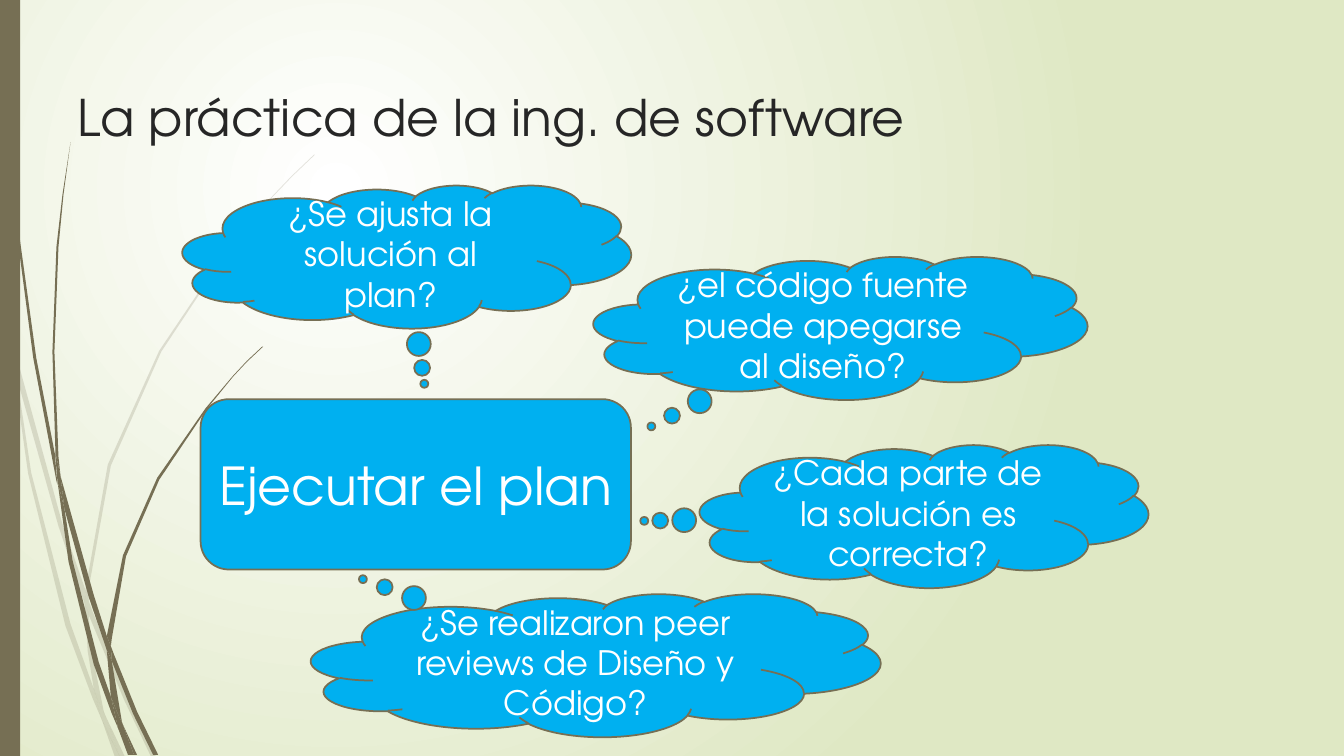
import lxml.etree
import pptx
import pptx.dml.color
import pptx.enum.shapes
import pptx.enum.text
import pptx.oxml.ns
import pptx.util

Pt = pptx.util.Pt
MSO_SHAPE = pptx.enum.shapes.MSO_SHAPE
ANCHOR = pptx.enum.text.MSO_ANCHOR
ALIGN = pptx.enum.text.PP_ALIGN
qn = pptx.oxml.ns.qn

FONT = "TeX Gyre Adventor"
BROWN, BLUE, WHITE, DARK, GREEN = "766F54", "00B0F0", "FFFFFF", "262626", "DFE8C4"

# Corners of the grass pieces, on a grid of 0.72 points
GRID = Pt(0.72)
PALE_GRASS = [
    [(11, 350), (9, 322), (0, 282), (0, 299), (10, 344)],
    [(58, 522), (84, 599), (85, 586), (62, 520), (14, 345), (17, 376)],
    [(92, 607), (88, 596), (88, 610), (123, 694), (150, 751), (155, 751), (127, 692)],
    [(119, 751), (124, 751), (105, 711)],
    [(93, 683), (70, 619), (31, 469), (17, 376), (11, 350), (28, 470), (65, 621),
     (92, 693), (101, 714), (99, 707)],
    [(84, 599), (87, 646), (93, 683), (96, 692), (105, 711), (103, 706), (91, 646),
     (88, 610), (88, 608)],
    [(88, 584), (110, 462), (160, 349), (229, 245), (268, 198), (290, 175), (312, 154),
     (312, 153), (289, 175), (268, 197), (228, 244), (158, 348), (107, 461), (85, 584),
     (85, 586), (88, 596)],
    [(101, 714), (114, 751), (119, 751)],
    [(88, 608), (88, 610), (88, 596), (85, 586), (84, 599)],
    [(96, 692), (93, 683), (99, 707), (101, 714), (119, 751), (105, 711)],
]
SOLID_GRASS = [
    [(7, 110), (17, 233), (33, 355), (56, 477), (57, 481), (55, 457), (55, 453),
     (36, 355), (19, 232), (8, 109), (5, 48), (4, 0), (3, 0), (4, 48)],
    [(88, 592), (106, 645), (106, 633), (106, 631), (93, 590), (60, 472), (64, 505)],
    [(113, 649), (110, 641), (111, 656), (132, 708), (152, 749), (157, 749), (136, 706)],
    [(110, 691), (98, 657), (72, 556), (64, 505), (57, 477), (68, 557), (93, 659),
     (111, 708), (117, 722), (116, 717)],
    [(60, 472), (58, 453), (54, 349), (58, 245), (63, 193), (70, 141), (62, 193),
     (56, 245), (52, 349), (55, 449)],
    [(133, 749), (136, 749), (122, 719)],
    [(57, 477), (64, 505), (60, 472), (55, 449), (55, 453)],
    [(111, 633), (125, 552), (158, 476), (205, 406), (231, 374), (245, 359), (261, 344),
     (260, 344), (245, 358), (231, 373), (204, 405), (156, 474), (122, 551), (106, 631),
     (110, 641)],
    [(117, 722), (127, 749), (131, 749)],
    [(106, 645), (110, 691), (116, 706), (122, 719), (121, 716), (111, 656), (109, 651)],
    [(106, 645), (109, 651), (111, 656), (110, 641), (106, 631), (106, 633)],
    [(116, 706), (110, 691), (116, 717), (117, 722), (130, 749), (133, 749), (122, 719)],
]

# Thought clouds: text, left, top, width, tail position
CLOUD_HEIGHT = 102.2
CLOUDS = [
    ("¿el código fuente puede apegarse al diseño?", 424, 183.2, 352.8, (-0.383, 0.688)),
    ("¿Se ajusta la solución al plan?", 130.4, 132.2, 320.4, (0.039, 0.889)),
    ("¿Cada parte de la solución es correcta?", 499.9, 317.6, 320.4, (-0.624, 0.033)),
    ("¿Se realizaron peer reviews de Diseño y Código?", 222.2, 424.1, 406.8, (-0.409, -0.602)),
]


def rgb(color):
    return pptx.dml.color.RGBColor.from_string(color)


def set_background(slide):
    fill = slide.background.fill
    fill.gradient()
    for stop, position, color in zip(fill.gradient_stops, (0, 1), (WHITE, GREEN)):
        stop.position = position
        stop.color.rgb = rgb(color)
    # Radial gradient centred in the upper left quarter
    gradient = slide.background._cSld.find(".//" + qn("a:gradFill"))
    linear = gradient.find(qn("a:lin"))
    radial = lxml.etree.Element(qn("a:path"), {"path": "circle"})
    lxml.etree.SubElement(radial, qn("a:fillToRect"),
                          dict(l="50000", t="50000", r="100000", b="100000"))
    gradient.replace(linear, radial)


def paint(shape, color, line=None):
    shape.shadow.inherit = False
    shape.fill.solid()
    shape.fill.fore_color.rgb = rgb(color)
    if line:
        shape.line.color.rgb = rgb(line)
        shape.line.width = Pt(1.25)
    else:
        shape.line.fill.background()


def write(shape, text, size, color, align, anchor):
    frame = shape.text_frame
    frame.text = text
    frame.word_wrap = True
    frame.vertical_anchor = anchor
    paragraph = frame.paragraphs[0]
    paragraph.alignment = align
    font = paragraph.runs[0].font
    font.name, font.size = FONT, Pt(size)
    font.color.rgb = rgb(color)


def add_grass(slide, corners, alpha=None):
    builder = slide.shapes.build_freeform(*corners[0], scale=GRID)
    builder.add_line_segments(corners[1:], close=True)
    grass = builder.convert_to_shape()
    paint(grass, BROWN)
    if alpha:
        color = grass._element.spPr.find(qn("a:solidFill"))[0]
        lxml.etree.SubElement(color, qn("a:alpha"), val=str(alpha * 1000))


def add_box(slide, kind, text, size, left, top, width, height, tail=()):
    shape = slide.shapes.add_shape(kind, Pt(left), Pt(top), Pt(width), Pt(height))
    for index, value in enumerate(tail):
        shape.adjustments[index] = value
    paint(shape, BLUE, BROWN)
    write(shape, text, size, WHITE, ALIGN.CENTER, ANCHOR.MIDDLE)


def set_title(slide, text):
    title = slide.shapes.title
    title.left, title.top, title.width, title.height = Pt(48), Pt(21.6), Pt(864), Pt(90)
    write(title, text, 36, DARK, ALIGN.LEFT, ANCHOR.BOTTOM)
    frame = title.text_frame
    frame.margin_left = frame.margin_right = Pt(7.2)
    frame.margin_top = frame.margin_bottom = Pt(7.2)


def main():
    presentation = pptx.Presentation()
    presentation.slide_width, presentation.slide_height = Pt(960), Pt(540)
    slide = presentation.slides.add_slide(presentation.slide_layouts[5])

    # Backdrop: gradient, grass and side bar
    set_background(slide)
    for corners in PALE_GRASS:
        add_grass(slide, corners, alpha=20)
    for corners in SOLID_GRASS:
        add_grass(slide, corners)
    bar = slide.shapes.add_shape(MSO_SHAPE.RECTANGLE, 0, 0, Pt(14.4), Pt(540))
    paint(bar, BROWN)

    # Title, plan and the questions around it
    set_title(slide, "La práctica de la ing. de software")
    add_box(slide, MSO_SHAPE.FLOWCHART_ALTERNATE_PROCESS, "Ejecutar el plan", 37.3,
            143.3, 285.1, 307.4, 121.7)
    for text, left, top, width, tail in CLOUDS:
        add_box(slide, MSO_SHAPE.CLOUD_CALLOUT, text, 24, left, top, width, CLOUD_HEIGHT, tail)

    presentation.save("out.pptx")


if __name__ == "__main__":
    main()
